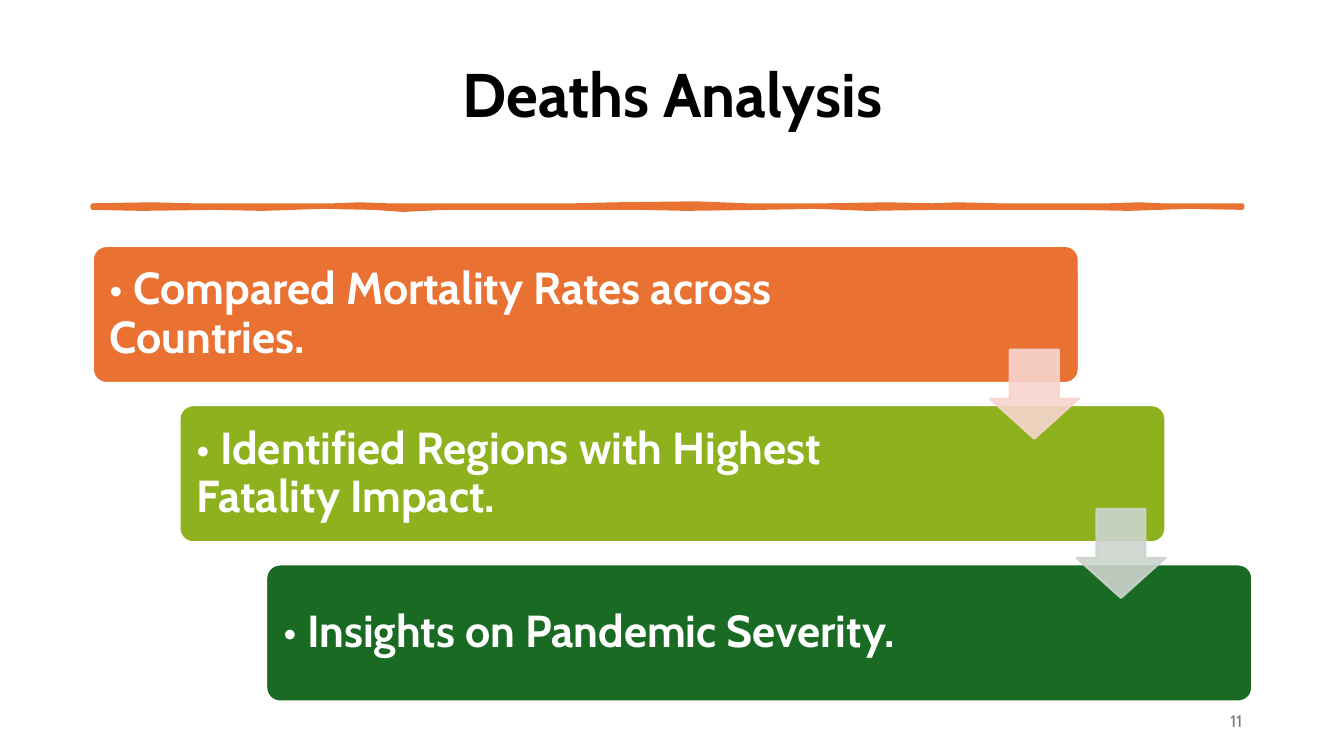
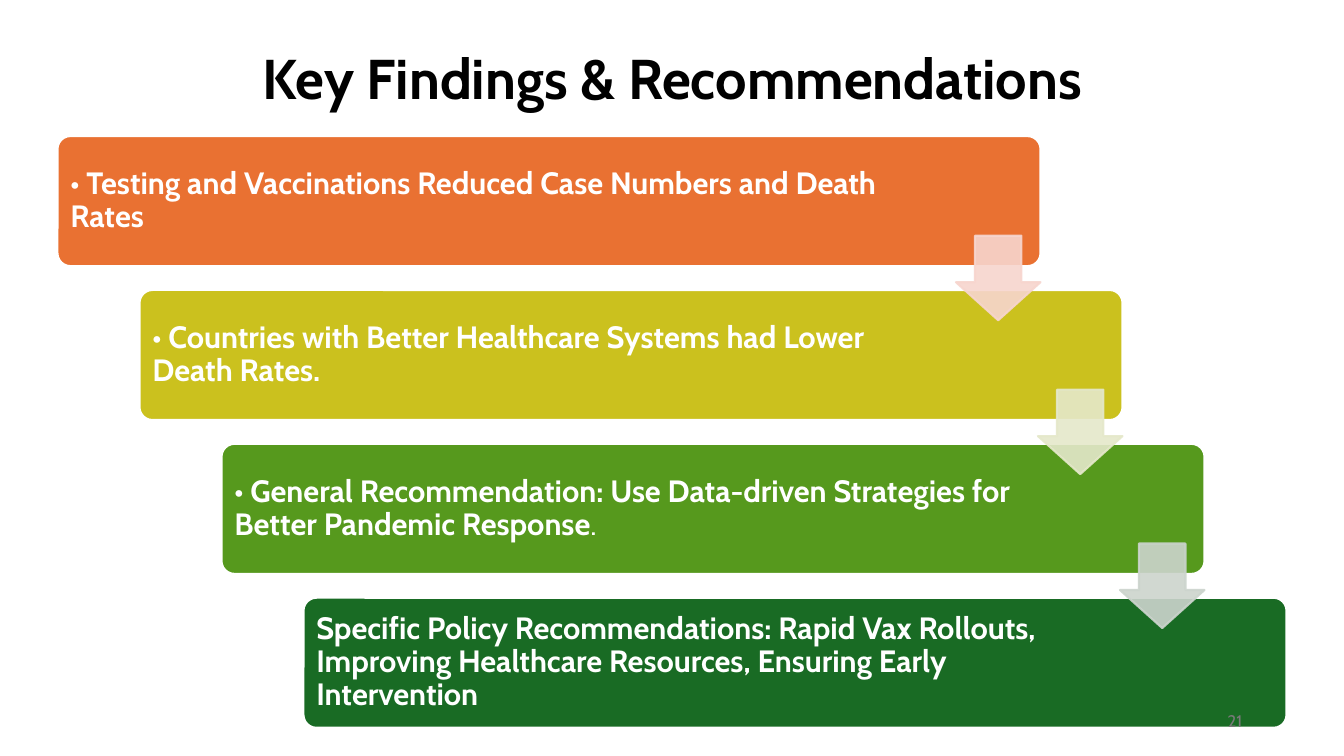
from lxml import etree
from pptx import Presentation
from pptx.dml.color import RGBColor
from pptx.enum.shapes import MSO_SHAPE
from pptx.enum.text import MSO_ANCHOR, MSO_AUTO_SIZE, PP_ALIGN
from pptx.oxml.ns import qn
from pptx.util import Inches, Pt

BLACK = RGBColor(0x00, 0x00, 0x00)
WHITE = RGBColor(0xFF, 0xFF, 0xFF)
GREY = RGBColor(0x79, 0x79, 0x79)
ORANGE = RGBColor(0xE9, 0x71, 0x32)
YELLOW = RGBColor(0xCB, 0xC1, 0x1E)
LIME = RGBColor(0x8E, 0xB2, 0x1E)
LEAF = RGBColor(0x56, 0x99, 0x1D)
FOREST = RGBColor(0x19, 0x6B, 0x24)
PALE_PINK = RGBColor(0xF7, 0xD5, 0xCE)
PALE_LIME = RGBColor(0xE5, 0xE8, 0xCA)
PALE_GREEN = RGBColor(0xCC, 0xD4, 0xCD)

RULE_TOP = [
    (0.92, 2.04), (1.5, 2.03), (1.9, 2.04), (3.31, 2.04), (3.57, 2.03),
    (3.84, 2.04), (5.7, 2.04), (6.1, 2.03), (6.9, 2.02), (7.4, 2.04),
    (8.2, 2.04), (8.8, 2.03), (9.24, 2.04), (9.5, 2.03), (9.9, 2.04),
    (11.0, 2.04), (11.3, 2.03), (11.52, 2.04), (12.32, 2.04),
]
RULE_BOTTOM = [
    (12.32, 2.06), (11.8, 2.05), (11.2, 2.07), (10.68, 2.06), (9.28, 2.06),
    (8.6, 2.07), (8.1, 2.05), (7.53, 2.06), (6.8, 2.07), (6.35, 2.06),
    (4.41, 2.06), (4.0, 2.08), (3.7, 2.06), (3.2, 2.05), (2.89, 2.06),
    (2.6, 2.07), (2.13, 2.06), (1.4, 2.07), (0.92, 2.06),
]


class Deck:
    FONT = "Cabin"
    CORNER = 0.1
    ARROW_RATIO = 0.65

    def __init__(self):
        self.prs = Presentation()
        self.prs.slide_width = Inches(13.33)
        self.prs.slide_height = Inches(7.5)
        self.s = None

    def add_slide(self, title, top, height, size):
        self.s = self.prs.slides.add_slide(self.prs.slide_layouts[5])
        sp = self.s.shapes.title
        sp.left, sp.top = Inches(0.92), Inches(top)
        sp.width, sp.height = Inches(11.5), Inches(height)
        self.set_text(sp.text_frame, [(title, True)], size, BLACK, PP_ALIGN.CENTER, 0.9)

    def set_text(self, tf, runs, size, color, align, spacing=1.0):
        tf.word_wrap = True
        tf.auto_size = MSO_AUTO_SIZE.NONE
        tf.vertical_anchor = MSO_ANCHOR.MIDDLE
        p = tf.paragraphs[0]
        p.alignment = align
        p.line_spacing = spacing
        for text, bold in runs:
            r = p.add_run()
            r.text = text
            r.font.name = self.FONT
            r.font.size = Pt(size)
            r.font.bold = bold
            r.font.color.rgb = color

    def paint(self, sp, fill, line, weight, alpha=None):
        sp.shadow.inherit = False
        sp.fill.solid()
        sp.fill.fore_color.rgb = fill
        sp.line.color.rgb = line
        sp.line.width = Pt(weight)
        if alpha:
            for clr in sp._element.spPr.iter(qn("a:srgbClr")):
                etree.SubElement(clr, qn("a:alpha"), val=str(alpha * 1000))

    def add_rule(self):
        points = [(Inches(x), Inches(y)) for x, y in RULE_TOP + RULE_BOTTOM]
        builder = self.s.shapes.build_freeform(*points[0])
        builder.add_line_segments(points[1:], close=True)
        self.paint(builder.convert_to_shape(), ORANGE, ORANGE, 3.25)

    def add_tile(self, x, y, w, h, color, runs, size, inset, text_w):
        sp = self.s.shapes.add_shape(
            MSO_SHAPE.ROUNDED_RECTANGLE, Inches(x), Inches(y), Inches(w), Inches(h))
        sp.adjustments[0] = self.CORNER
        self.paint(sp, color, WHITE, 1.5)
        tf = sp.text_frame
        tf.margin_left = tf.margin_top = tf.margin_bottom = Inches(inset)
        tf.margin_right = Inches(w - 0.08 - text_w + inset)
        self.set_text(tf, runs, size, WHITE, PP_ALIGN.LEFT, 0.9)

    def add_arrow(self, x, y, size, color):
        sp = self.s.shapes.add_shape(
            MSO_SHAPE.DOWN_ARROW, Inches(x), Inches(y), Inches(size), Inches(size))
        sp.adjustments[0] = 0.55
        sp.adjustments[1] = 0.45
        self.paint(sp, color, color, 1.5, alpha=90)

    def add_staircase(self, area, tile_size, steps, arrows, size, inset, text_widths):
        left, top, width, height = area
        w, h = tile_size
        gaps = len(steps) - 1
        dx, dy = (width - w) / gaps, (height - h) / gaps
        first_w, other_w = text_widths
        for i, (color, runs) in enumerate(steps):
            text_w = other_w if i else first_w
            self.add_tile(left + i * dx, top + i * dy, w, h, color, runs,
                          size, inset, text_w)
        arrow = self.ARROW_RATIO * h
        for i, color in enumerate(arrows):
            x = left + i * dx + w - arrow
            y = top + i * dy + (h + dy - arrow) / 2
            self.add_arrow(x, y, arrow, color)

    def add_number(self, number):
        sp = self.s.shapes.add_textbox(
            Inches(9.42), Inches(6.95), Inches(3), Inches(0.4))
        self.set_text(sp.text_frame, [(str(number), False)], 12, GREY, PP_ALIGN.RIGHT)


def add_deaths_analysis(deck):
    deck.add_slide("Deaths Analysis", 0.4, 1.14, 44)
    deck.add_rule()
    steps = [
        (ORANGE, "Compared Mortality Rates across Countries."),
        (LIME, "Identified Regions with Highest Fatality Impact."),
        (FOREST, "Insights on Pandemic Severity."),
    ]
    deck.add_staircase(
        (0.92, 2.44, 11.5, 4.52), (9.78, 1.36),
        [(color, [("• ", False), (text, True)]) for color, text in steps],
        [PALE_PINK, PALE_GREEN], 32, 0.13, (8.31, 7.95))
    deck.add_number(11)


def add_key_findings(deck):
    deck.add_slide("Key Findings & Recommendations", 0.37, 0.88, 40)
    steps = [
        (ORANGE, [("• Testing and Vaccinations Reduced Case Numbers and Death Rates", True)]),
        (YELLOW, [("• Countries with Better Healthcare Systems had Lower Death Rates.", True)]),
        (LEAF, [("• General Recommendation: Use Data-driven Strategies for "
                 "Better Pandemic Response", True), (".", False)]),
        (FOREST, [("Specific Policy Recommendations: Rapid Vax Rollouts, Improving "
                   "Healthcare Resources, Ensuring Early Intervention", True)]),
    ]
    deck.add_staircase(
        (0.57, 1.35, 12.19, 5.87), (9.75, 1.29), steps,
        [PALE_PINK, PALE_LIME, PALE_GREEN], 22, 0.09, (8.25, 8.02))
    deck.add_number(21)


def main():
    deck = Deck()
    add_deaths_analysis(deck)
    add_key_findings(deck)
    deck.prs.save("out.pptx")


if __name__ == "__main__":
    main()
